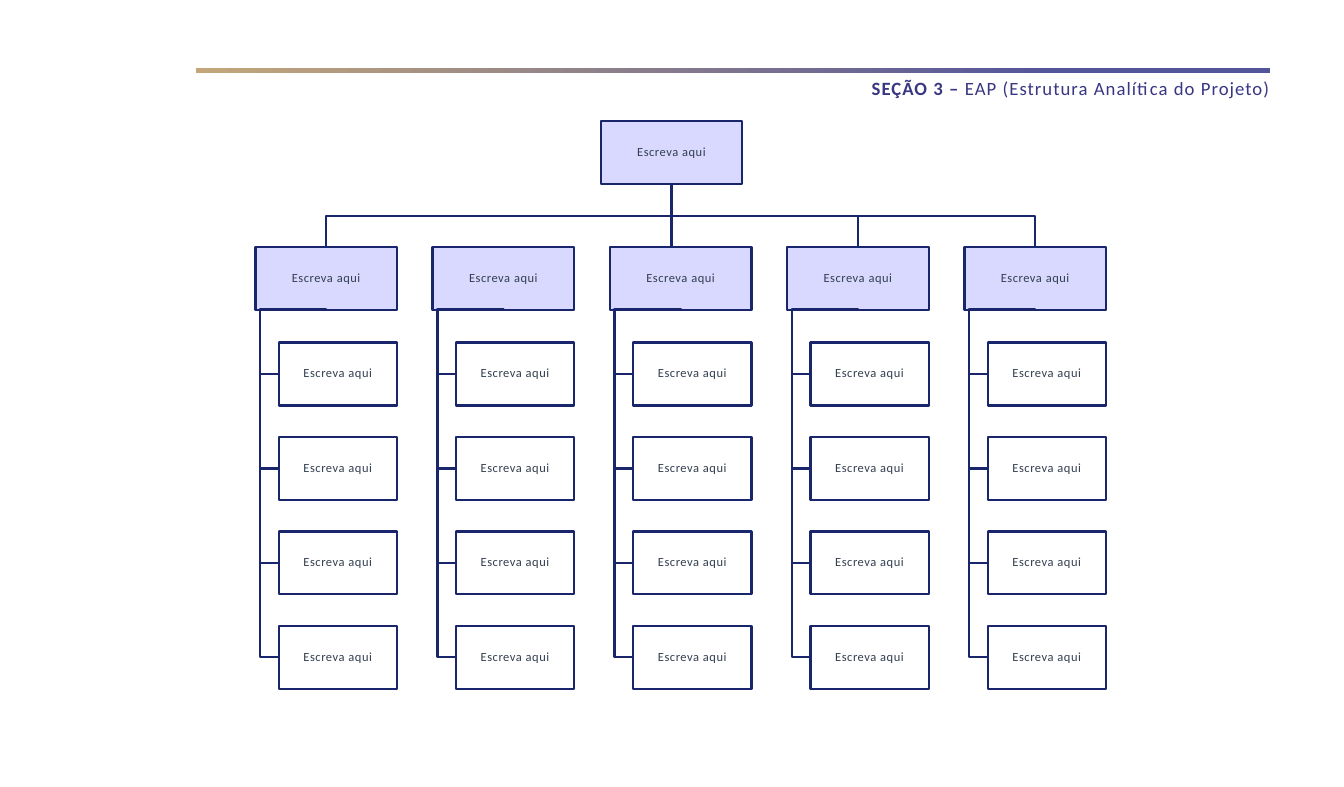
from dataclasses import dataclass

from lxml.etree import SubElement
from pptx import Presentation
from pptx.dml.color import RGBColor
from pptx.enum.shapes import MSO_CONNECTOR as Link, MSO_SHAPE as Preset
from pptx.enum.text import MSO_ANCHOR as Anchor, MSO_AUTO_SIZE as AutoSize, PP_ALIGN as Align
from pptx.oxml.ns import qn
from pptx.util import Cm, Pt


@dataclass(frozen=True)
class Theme:
    """Colours and type sizes of the slide."""
    font: str = "Calibri"
    navy: RGBColor = RGBColor(0x19, 0x26, 0x6B)
    lilac: RGBColor = RGBColor(0xD9, 0xD9, 0xFF)
    slate: RGBColor = RGBColor(0x33, 0x3F, 0x50)
    violet: RGBColor = RGBColor(0x39, 0x36, 0x83)
    gold: RGBColor = RGBColor(0xC3, 0xA7, 0x7A)
    indigo: RGBColor = RGBColor(0x53, 0x55, 0x9B)
    title_size: Pt = Pt(18)
    label_size: Pt = Pt(12)
    line_width: Pt = Pt(2.25)


THEME = Theme()
LABEL = "Escreva aqui"
COLUMNS, ROWS = 5, 4
UNLINKED_COLUMN = 1
MIDDLE_COLUMN = 2
BOX_WIDTH, BOX_HEIGHT = 4.8, 2.13
ITEM_INDENT = 0.79
TOP, LEFT, BOTTOM = 0, 1, 2


def format_span(span, size, color, spacing, bold=False):
    """Apply the type style and letter spacing (hundredths of a point)."""
    span.font.name = THEME.font
    span.font.size = size
    span.font.bold = bold
    span.font.color.rgb = color
    span._r.get_or_add_rPr().set("spc", str(spacing))


def set_frame(frame, side, edge):
    """Set the insets, wrapping and vertical centring of a text frame."""
    frame.margin_left = frame.margin_right = Cm(side)
    frame.margin_top = frame.margin_bottom = Cm(edge)
    frame.word_wrap = True
    frame.auto_size = AutoSize.NONE
    frame.vertical_anchor = Anchor.MIDDLE


def add_heading(page):
    """Fill and place the section title."""
    title = page.shapes.title
    title.left, title.top, title.width, title.height = Cm(29.16), Cm(2.39), Cm(13.89), Cm(1.17)
    set_frame(title.text_frame, 0, 0.2)
    para = title.text_frame.paragraphs[0]
    para.alignment = Align.RIGHT
    for text, bold in (("SEÇÃO 3 – ", True), ("EAP (Estrutura Analítica do Projeto)", False)):
        span = para.add_run()
        span.text = text
        format_span(span, THEME.title_size, THEME.violet, 100, bold)


def add_bar(page):
    """Draw the gradient bar above the title."""
    bar = page.shapes.add_shape(Preset.RECTANGLE, Cm(6.65), Cm(2.31), Cm(36.4), Cm(0.15))
    bar.shadow.inherit = False
    bar.line.fill.background()
    bar.fill.gradient()
    bar.fill.gradient_angle = 0
    for stop, color, position in zip(bar.fill.gradient_stops, (THEME.gold, THEME.indigo), (0, 0.8)):
        stop.color.rgb = color
        stop.position = position


def add_box(page, left, top, width, color=None):
    """Draw a labelled box, hollow when no colour is given."""
    box = page.shapes.add_shape(
        Preset.ROUNDED_RECTANGLE, Cm(left), Cm(top), Cm(width), Cm(BOX_HEIGHT))
    box.adjustments[0] = 0
    box.shadow.inherit = False
    if color is None:
        box.fill.background()
    else:
        box.fill.solid()
        box.fill.fore_color.rgb = color
    box.line.color.rgb = THEME.navy
    box.line.width = THEME.line_width
    set_frame(box.text_frame, 0.1, 0.1)
    box.text_frame.text = LABEL
    para = box.text_frame.paragraphs[0]
    para.alignment = Align.CENTER
    para.line_spacing = Pt(12)
    format_span(para.runs[0], THEME.label_size, THEME.slate, 50)
    return box


def add_link(page, kind, start, end):
    """Draw a plain connector between two points."""
    link = page.shapes.add_connector(kind, *start, *end)
    link.line.color.rgb = THEME.navy
    link.line.width = THEME.line_width
    SubElement(link._element.spPr, qn("a:effectLst"))
    return link


def bottom_middle(box):
    """Return the middle of a box's lower side."""
    return box.left + box.width // 2, box.top + box.height


def add_elbow(page, parent, child, side, preset, adjustments=()):
    """Join a parent's lower side to a child with a bend that leaves downwards."""
    x1, y1 = bottom_middle(parent)
    x2 = child.left + (child.width // 2 if side == TOP else 0)
    y2 = child.top + (0 if side == TOP else child.height // 2)
    link = add_link(page, Link.ELBOW, (x1, y1), (x2, y2))
    link.begin_connect(parent, BOTTOM)
    link.end_connect(child, side)
    across, down = abs(x2 - x1), y2 - y1
    link.left, link.top = (x1 + x2 - down) // 2, (y1 + y2 - across) // 2
    link.width, link.height = down, across
    frame = link._element.spPr.find(qn("a:xfrm"))
    for flip in ("flipH", "flipV"):
        frame.attrib.pop(flip, None)
    frame.set("rot", str((90 if x2 < x1 else 270) * 60000))
    if x2 > x1:
        frame.set("flipH", "1")
    outline = link._element.spPr.find(qn("a:prstGeom"))
    outline.set("prst", preset)
    guides = outline.find(qn("a:avLst"))
    for number, value in enumerate(adjustments, 1):
        SubElement(guides, qn("a:gd"), name=f"adj{number}", fmla=f"val {value}")


def add_column(page, left):
    """Draw a branch box with its items and return the branch box."""
    branch = add_box(page, left, 8.38, BOX_WIDTH, THEME.lilac)
    for row in range(ROWS):
        item = add_box(page, left + ITEM_INDENT, 11.61 + row * 3.2, BOX_WIDTH - ITEM_INDENT)
        add_elbow(page, branch, item, LEFT, "bentConnector4", (-200, 139200))
    return branch


def add_tree(page):
    """Draw the root, its branches and the links between them."""
    root = add_box(page, 20.37, 4.11, BOX_WIDTH, THEME.lilac)
    for column in range(COLUMNS):
        branch = add_column(page, 8.66 + column * 6.01)
        if column == MIDDLE_COLUMN:
            x, y = bottom_middle(root)
            stem = add_link(page, Link.STRAIGHT, (x, y), (x, branch.top))
            stem.begin_connect(root, BOTTOM)
        elif column != UNLINKED_COLUMN:
            add_elbow(page, root, branch, TOP, "bentConnector3")


def main():
    """Build the slide and save it."""
    deck = Presentation()
    deck.slide_width, deck.slide_height = Cm(45.57), Cm(26.67)
    page = deck.slides.add_slide(deck.slide_layouts[5])
    add_heading(page)
    add_bar(page)
    add_tree(page)
    deck.save("out.pptx")


if __name__ == "__main__":
    main()
